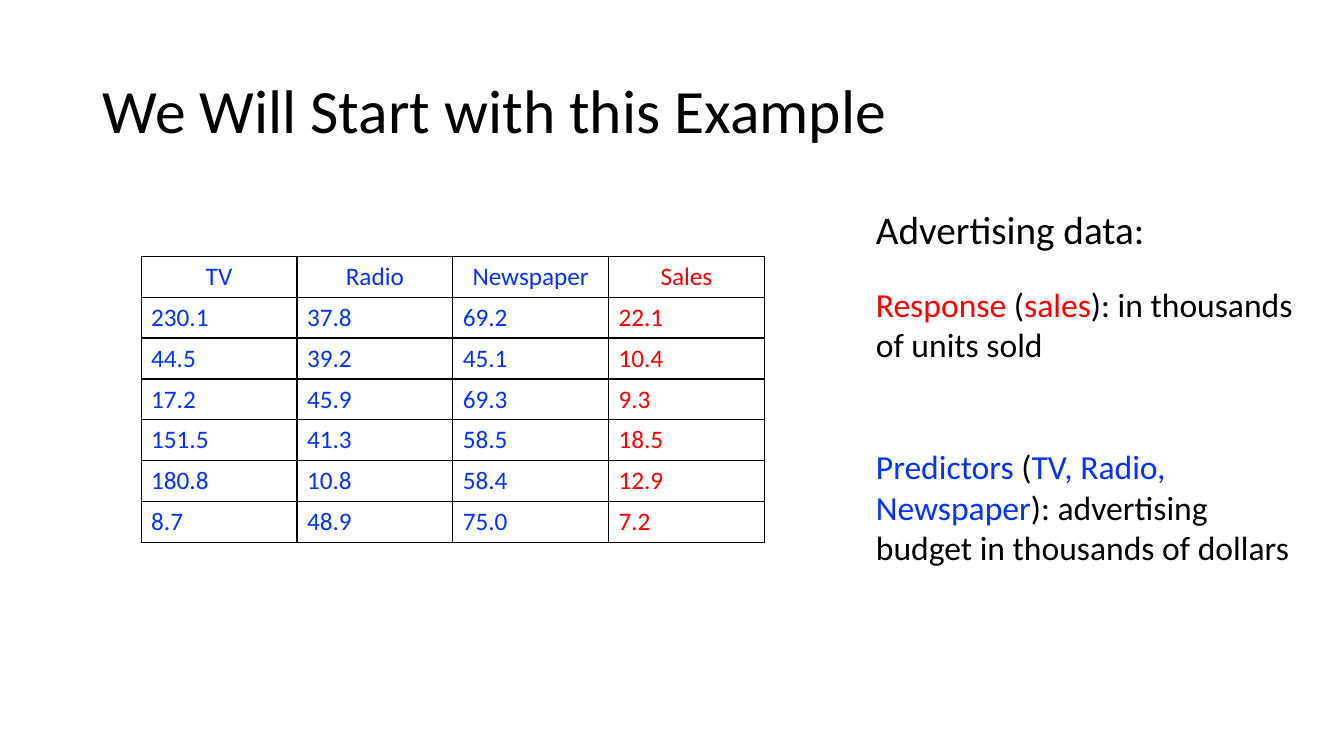
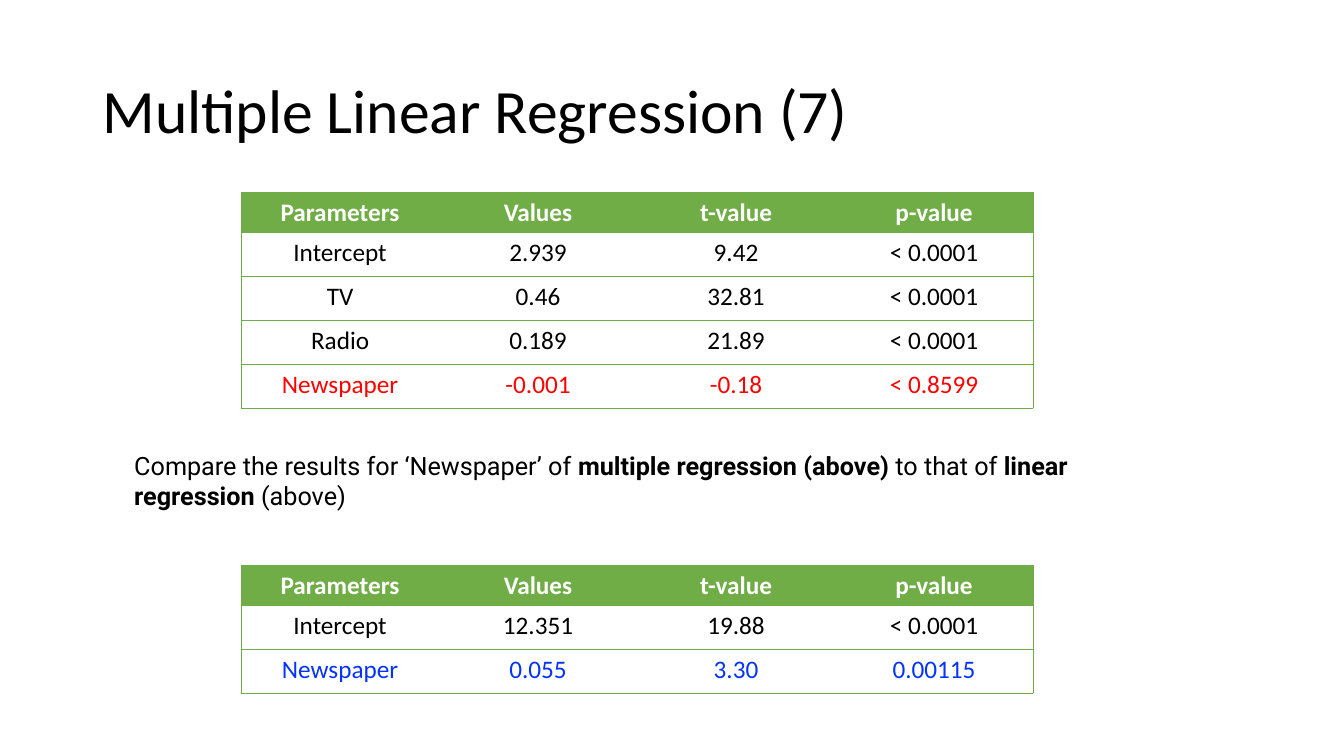
from lxml import etree
from pptx import Presentation
from pptx.dml.color import RGBColor
from pptx.enum.text import MSO_ANCHOR, PP_ALIGN
from pptx.oxml.ns import qn
from pptx.util import Inches, Pt

LEFT, CENTER = PP_ALIGN.LEFT, PP_ALIGN.CENTER
TOP, MIDDLE = MSO_ANCHOR.TOP, MSO_ANCHOR.MIDDLE
BLACK, WHITE = "000000", "FFFFFF"
RED, BLUE, GREEN = "FF0000", "0432FF", "70AD47"
WIDTH, HEIGHT = Inches(13.33), Inches(7.5)
GRID_COLUMNS, GRID_ROWS = 16, 9
TITLE_ONLY = 5
HEADER_ROWS = 0.48


def rgb(value):
    return RGBColor.from_string(value)


def apply(target, **values):
    for name, value in values.items():
        setattr(target, name, value)


class Deck:
    font = "Calibri"
    title_box = (1.1, 0.48, 13.8, 1.74)

    def __init__(self):
        self.deck = Presentation()
        apply(self.deck, slide_width=WIDTH, slide_height=HEIGHT)
        self.page = None

    def area(self, left, top, width, height):
        column, row = WIDTH / GRID_COLUMNS, HEIGHT / GRID_ROWS
        return [round(v) for v in (left * column, top * row, width * column, height * row)]

    def span(self, para, text, size, color=BLACK, bold=False, font=None):
        span = para.add_run()
        span.text = text
        apply(span.font, name=font or self.font, size=Pt(size), bold=bold)
        span.font.color.rgb = rgb(color)

    def add_page(self, title):
        self.page = self.deck.slides.add_slide(self.deck.slide_layouts[TITLE_ONLY])
        box = self.page.shapes.title
        left, top, width, height = self.area(*self.title_box)
        apply(box, left=left, top=top, width=width, height=height)
        apply(box.text_frame, vertical_anchor=MIDDLE, word_wrap=True)
        para = box.text_frame.paragraphs[0]
        apply(para, alignment=LEFT, line_spacing=0.9)
        self.span(para, title, 44)

    def add_text(self, place, paragraphs):
        box = self.page.shapes.add_textbox(*self.area(*place))
        apply(box.text_frame, word_wrap=True, vertical_anchor=TOP)
        for index, (size, gap, spans) in enumerate(paragraphs):
            para = box.text_frame.add_paragraph() if index else box.text_frame.paragraphs[0]
            apply(para, alignment=LEFT, space_before=Pt(gap))
            for text, style in spans:
                self.span(para, text, size, **style)

    def border(self, cell, color, width, hidden=()):
        properties = cell._tc.get_or_add_tcPr()
        for side in ("L", "R", "T", "B"):
            line = etree.SubElement(properties, qn(f"a:ln{side}"), w=str(Pt(width)))
            if side in hidden:
                etree.SubElement(line, qn("a:noFill"))
            else:
                fill = etree.SubElement(line, qn("a:solidFill"))
                etree.SubElement(fill, qn("a:srgbClr"), val=color)

    def new_table(self, place, rows):
        frame = self.page.shapes.add_table(len(rows), len(rows[0]), *self.area(*place))
        apply(frame.table, first_row=False, horz_banding=False)
        return frame.table

    def fill_cell(self, cell, text, alignment, **style):
        para = cell.text_frame.paragraphs[0]
        para.alignment = alignment
        self.span(para, text, 18, **style)

    def add_data_table(self, place, rows, colors):
        table = self.new_table(place, rows)
        for r, values in enumerate(rows):
            for c, (value, color) in enumerate(zip(values, colors)):
                cell = table.cell(r, c)
                self.border(cell, BLACK, 1)
                cell.fill.background()
                self.fill_cell(cell, value, LEFT if r else CENTER, color=color)

    def add_result_table(self, place, rows, last_color):
        table = self.new_table(place, rows)
        last_row, last_column = len(rows) - 1, len(rows[0]) - 1
        heights = [HEADER_ROWS] + [(place[3] - HEADER_ROWS) / last_row] * last_row
        for r, values in enumerate(rows):
            table.rows[r].height = round(heights[r] * HEIGHT / GRID_ROWS)
            color = WHITE if r == 0 else last_color if r == last_row else BLACK
            for c, value in enumerate(values):
                cell = table.cell(r, c)
                hidden = ("L" if c > 0 else "") + ("R" if c < last_column else "")
                self.border(cell, GREEN, 0.5, hidden)
                if r == 0:
                    cell.fill.solid()
                    cell.fill.fore_color.rgb = rgb(GREEN)
                else:
                    cell.fill.background()
                self.fill_cell(cell, value, CENTER, color=color, bold=r == 0)


def add_example(deck):
    deck.add_page("We Will Start with this Example")
    red, blue = {"color": RED}, {"color": BLUE}
    deck.add_text((10.31, 2.39, 5.29, 4.44), [
        (28, 0, [("Advertising data:", {})]),
        (24, 22, [("Response ", red), ("(", {}), ("sales", red),
                  ("): in thousands of units sold", {})]),
        (24, 58.5, [("Predictors ", blue), ("(", {}), ("TV, Radio, Newspaper", blue),
                    ("): advertising budget in thousands of dollars", {})]),
    ])
    deck.add_data_table((1.68, 3.05, 7.42, 3.41), [
        ("TV", "Radio", "Newspaper", "Sales"),
        ("230.1", "37.8", "69.2", "22.1"),
        ("44.5", "39.2", "45.1", "10.4"),
        ("17.2", "45.9", "69.3", "9.3"),
        ("151.5", "41.3", "58.5", "18.5"),
        ("180.8", "10.8", "58.4", "12.9"),
        ("8.7", "48.9", "75.0", "7.2"),
    ], (BLUE, BLUE, BLUE, RED))


def add_regression(deck):
    deck.add_page("Multiple Linear Regression (7)")
    plain = {"font": "Roboto"}
    strong = {"font": "Roboto", "bold": True}
    deck.add_text((1.48, 5.3, 12.22, 0.85), [
        (18, 0, [("Compare the results for ‘Newspaper’ of ", plain),
                 ("multiple regression (above)", strong), (" to that of ", plain),
                 ("linear regression ", strong), ("(above)", plain)]),
    ])
    header = ("Parameters", "Values", "t-value", "p-value")
    deck.add_result_table((2.87, 2.29, 9.43, 2.57), [
        header,
        ("Intercept", "2.939", "9.42", "< 0.0001"),
        ("TV", "0.46", "32.81", "< 0.0001"),
        ("Radio", "0.189", "21.89", "< 0.0001"),
        ("Newspaper", "-0.001", "-0.18", "< 0.8599"),
    ], RED)
    deck.add_result_table((2.87, 6.73, 9.43, 1.52), [
        header,
        ("Intercept", "12.351", "19.88", "< 0.0001"),
        ("Newspaper", "0.055", "3.30", "0.00115"),
    ], BLUE)


def main():
    deck = Deck()
    add_example(deck)
    add_regression(deck)
    deck.deck.save("out.pptx")


if __name__ == "__main__":
    main()
